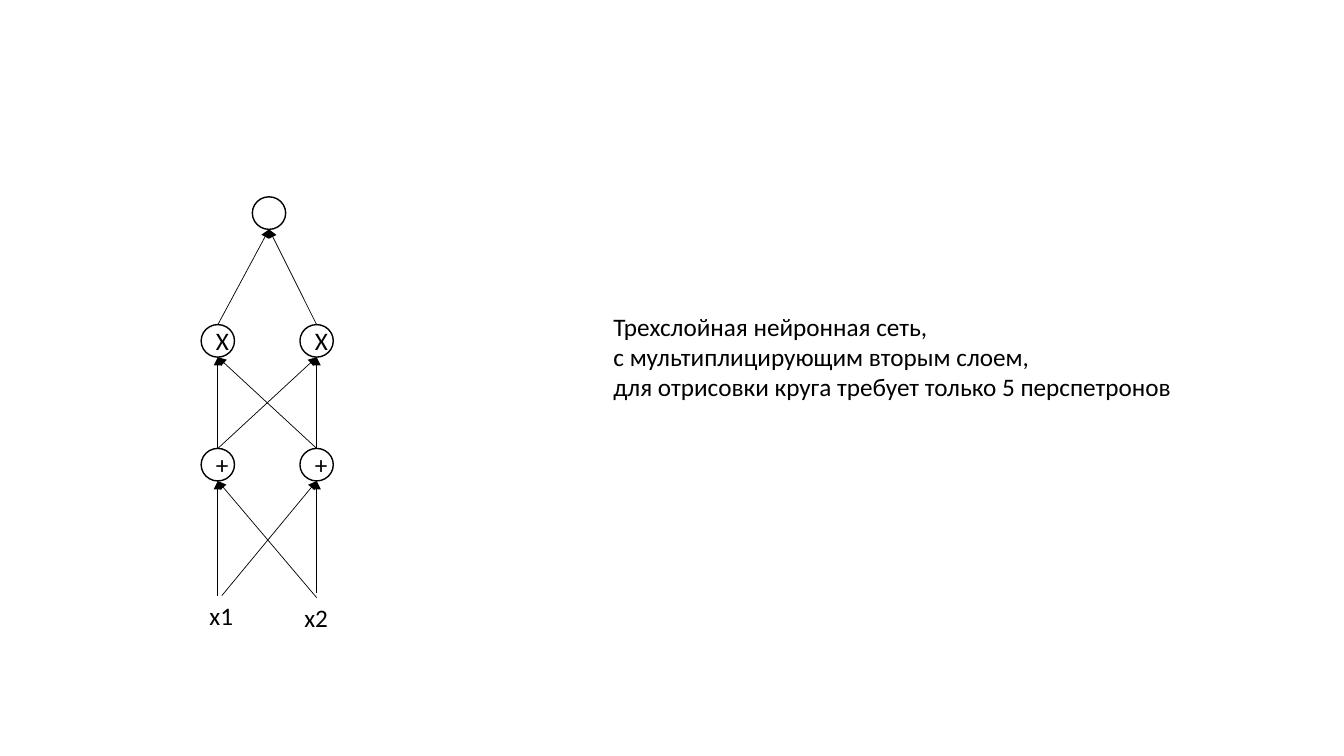
from dataclasses import dataclass
from itertools import product

from lxml.etree import SubElement
from pptx import Presentation
from pptx.dml.color import RGBColor
from pptx.enum.shapes import MSO_CONNECTOR as Connector, MSO_SHAPE as Shape
from pptx.enum.text import MSO_ANCHOR as Anchor, MSO_AUTO_SIZE as AutoSize, PP_ALIGN as Align
from pptx.oxml.ns import qn
from pptx.slide import Slide
from pptx.text.text import TextFrame
from pptx.util import Cm, Pt

COLOURS = {"ink": "000000", "paper": "FFFFFF"}
FONT = "Calibri"
NODE_WIDTH, NODE_HEIGHT = 0.84, 0.82
LEFT, APEX, RIGHT = 5.49, 6.78, 7.98


@dataclass(frozen=True)
class Point:
    x: float
    y: float


@dataclass(frozen=True)
class Neuron:
    x: float
    y: float
    sign: str = ""

    @property
    def top(self) -> Point:
        return Point(self.x, self.y - NODE_HEIGHT / 2)

    @property
    def bottom(self) -> Point:
        return Point(self.x, self.y + NODE_HEIGHT / 2)


@dataclass(frozen=True)
class Label:
    left: float
    top: float
    width: float
    height: float
    lines: tuple[str, ...]


SUMMING = [Neuron(x, 11.71, "+") for x in (LEFT, RIGHT)]
MULTIPLYING = [Neuron(x, 8.59, "Х") for x in (LEFT, RIGHT)]
OUTPUT = Neuron(APEX, 5.37)

INPUT_EDGES = [
    (Point(LEFT, 15.01), SUMMING[0]),
    (Point(RIGHT, 14.94), SUMMING[1]),
    (Point(5.59, 15.01), SUMMING[1]),
    (Point(RIGHT, 15.06), SUMMING[0]),
]
LAYER_EDGES = [*product(SUMMING, MULTIPLYING), *product(MULTIPLYING, [OUTPUT])]

LABELS = [
    Label(5.03, 15.01, 1.12, 1.02, ("x1",)),
    Label(7.42, 15.06, 1.12, 1.02, ("x2",)),
    Label(15.21, 7.72, 14.73, 2.57, (
        "Трехслойная нейронная сеть,",
        "с мультиплицирующим вторым слоем,",
        "для отрисовки круга требует только 5 перспетронов",
    )),
]


def colour(name: str) -> RGBColor:
    return RGBColor.from_string(COLOURS[name])


def write_lines(frame: TextFrame, lines: tuple[str, ...], align: Align) -> None:
    frame.text = "\n".join(lines)
    for para in frame.paragraphs:
        para.alignment = align
        para.font.name = FONT
        para.font.size = Pt(18)
        para.font.color.rgb = colour("ink")


def draw_neuron(page: Slide, neuron: Neuron) -> None:
    circle = page.shapes.add_shape(
        Shape.OVAL, Cm(neuron.x - NODE_WIDTH / 2), Cm(neuron.top.y),
        Cm(NODE_WIDTH), Cm(NODE_HEIGHT))
    circle.shadow.inherit = False
    circle.fill.solid()
    circle.fill.fore_color.rgb = colour("paper")
    circle.line.color.rgb = colour("ink")
    circle.line.width = Pt(1)
    if neuron.sign:
        circle.text_frame.vertical_anchor = Anchor.MIDDLE
        write_lines(circle.text_frame, (neuron.sign,), Align.CENTER)


def draw_arrow(page: Slide, start: Point, end: Point) -> None:
    arrow = page.shapes.add_connector(
        Connector.STRAIGHT, Cm(start.x), Cm(start.y), Cm(end.x), Cm(end.y))
    arrow.line.color.rgb = colour("ink")
    arrow.line.width = Pt(0.5)
    SubElement(arrow.line._get_or_add_ln(), qn("a:tailEnd"), type="triangle")
    SubElement(arrow._element.spPr, qn("a:effectLst"))


def draw_label(page: Slide, label: Label) -> None:
    box = page.shapes.add_textbox(
        Cm(label.left), Cm(label.top), Cm(label.width), Cm(label.height))
    box.text_frame.word_wrap = False
    box.text_frame.auto_size = AutoSize.SHAPE_TO_FIT_TEXT
    write_lines(box.text_frame, label.lines, Align.LEFT)


def main() -> None:
    deck = Presentation()
    deck.slide_width, deck.slide_height = Cm(33.87), Cm(19.05)
    page = deck.slides.add_slide(deck.slide_layouts[6])
    for neuron in [*SUMMING, *MULTIPLYING, OUTPUT]:
        draw_neuron(page, neuron)
    for start, neuron in INPUT_EDGES:
        draw_arrow(page, start, neuron.bottom)
    for source, target in LAYER_EDGES:
        draw_arrow(page, source.top, target.bottom)
    for label in LABELS:
        draw_label(page, label)
    deck.save("out.pptx")


if __name__ == "__main__":
    main()
